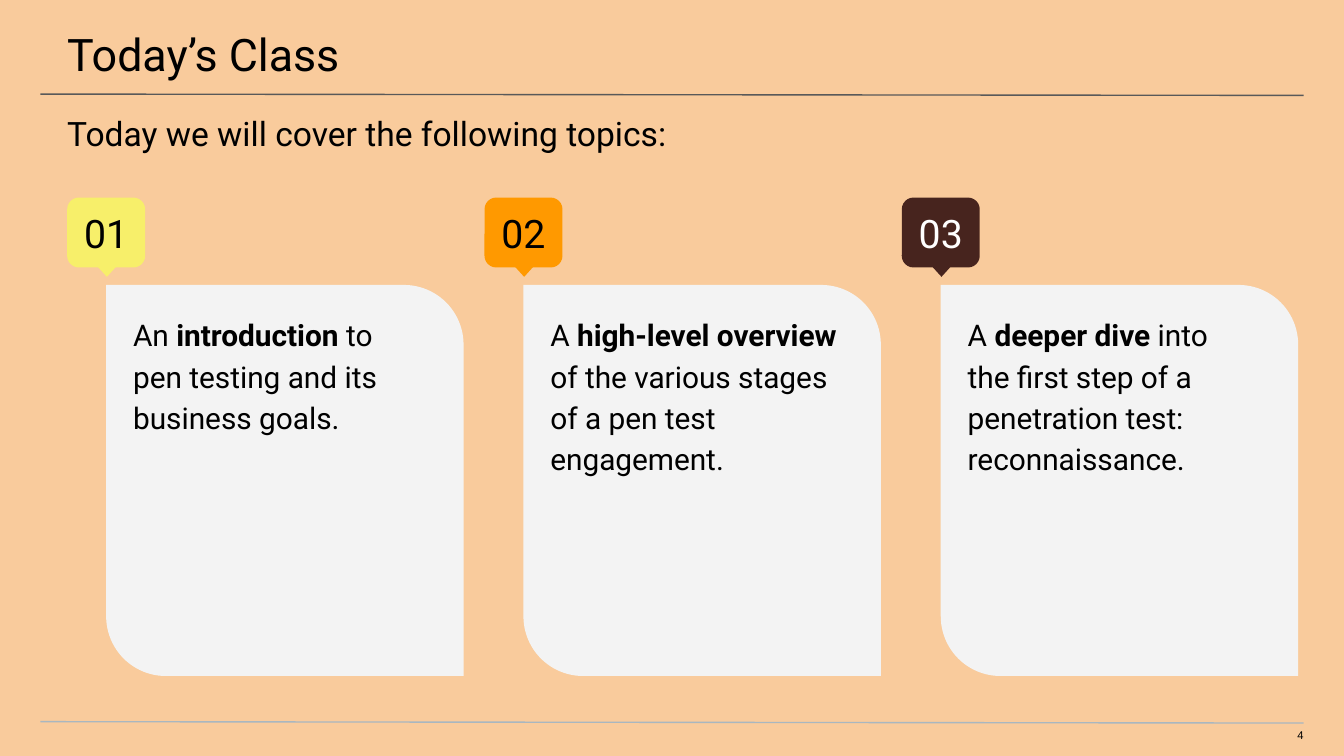
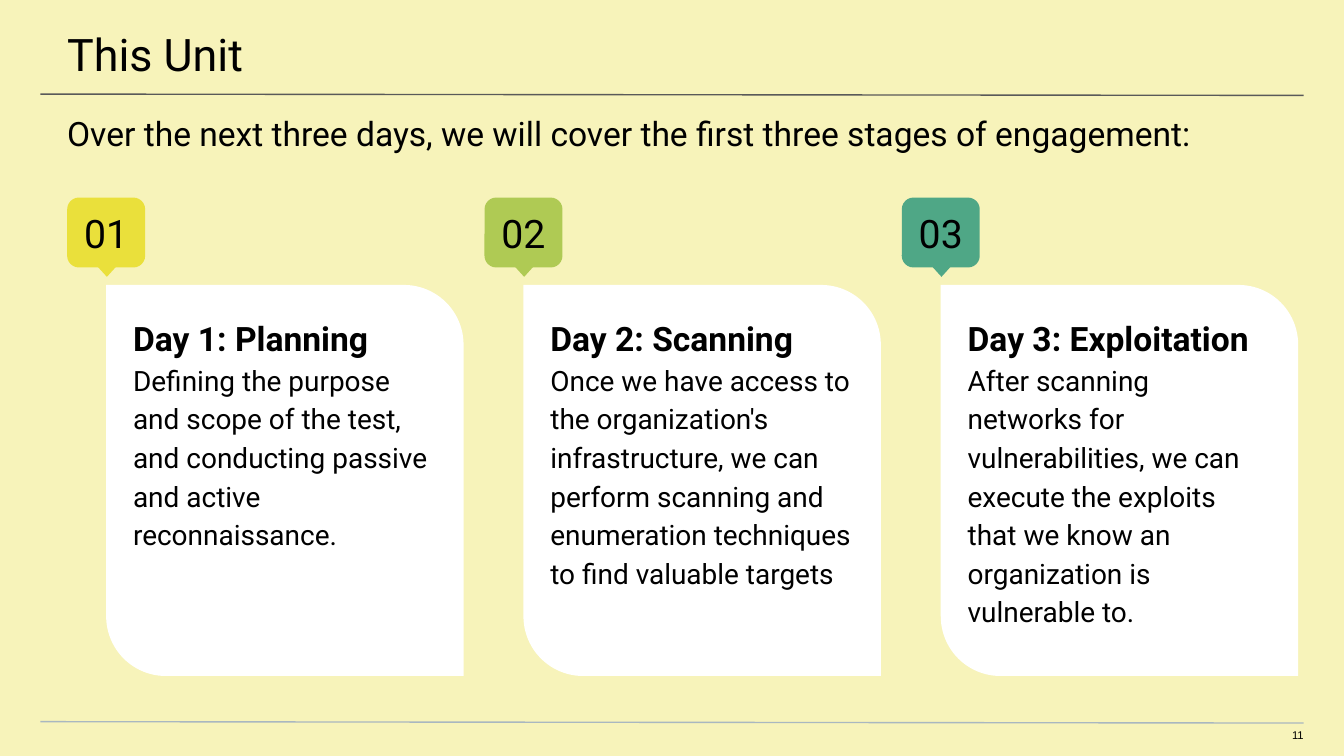
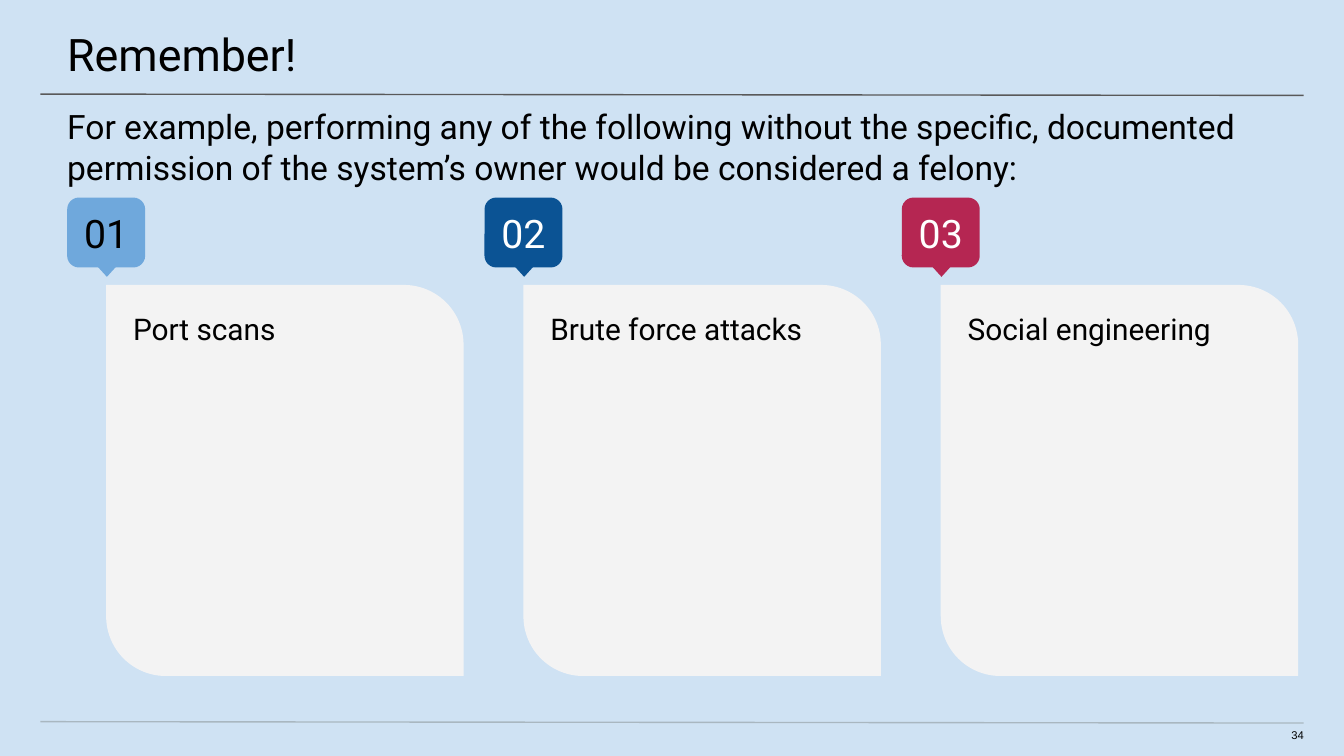
from collections import namedtuple

from lxml import etree
from pptx import Presentation
from pptx import util as u
from pptx.dml import color
from pptx.enum import shapes, text
from pptx.oxml import ns

COLUMNS, ROWS = 100, 56.25
UNIT = u.Inches(10) / COLUMNS

COLORS = {
    "ink": "000000",
    "white": "FFFFFF",
    "header_rule": "595959",
    "footer_rule": "A9B7C0",
    "grey_card": "F3F3F3",
    "peach": "F9CB9C",
    "cream": "F7F3BA",
    "pale_blue": "CFE2F3",
    "lemon": "F7EF6A",
    "orange": "FF9900",
    "brown": "47241E",
    "yellow": "EAE03B",
    "green": "AFCA54",
    "teal": "4FA786",
    "sky": "6FA8DC",
    "navy": "0B5394",
    "crimson": "B52652",
}

FONTS = {
    "title": {"name": "Roboto", "size": u.Pt(24)},
    "lead": {"name": "Roboto", "size": u.Pt(18)},
    "topic": {"name": "Roboto", "size": u.Pt(16)},
    "topic_bold": {"name": "Roboto", "size": u.Pt(16), "bold": True},
    "day": {"name": "Roboto", "size": u.Pt(18), "bold": True},
    "detail": {"name": "Roboto", "size": u.Pt(15)},
    "number": {"name": "Roboto", "size": u.Pt(21)},
    "page": {"name": "Arial", "size": u.Pt(6)},
}

TITLE_INSETS = (5, 2, 3, 1)
LEAD_INSETS = (5, 1, 5, 0)
CARD_INSETS = (2, 2, 2, 2)
BADGE_INSETS = (1, 1, 1, 1)
PAGE_INSETS = (0, 0, 0, 1)

CARD_PITCH = 31.05
CORNER = 0.167


class Box(namedtuple("Box", "left top width height")):
    def inner(self, left, top, width, height):
        return Box(self.left + left, self.top + top, width, height)

    def lengths(self):
        return [grid(value) for value in self]


PAGE = Box(0, 0, COLUMNS, ROWS)

SLIDES = [
    {
        "title": "Today’s Class",
        "lead": "Today we will cover the following topics:",
        "lead_top": 7.4,
        "page": "4",
        "background": "peach",
        "card": "grey_card",
        "badges": [("lemon", "ink"), ("orange", "ink"), ("brown", "white")],
        "topics": [
            [("An ", "topic"), ("introduction", "topic_bold"),
             (" to pen testing and its business goals.", "topic")],
            [("A ", "topic"), ("high-level overview", "topic_bold"),
             (" of the various stages of a pen test engagement.", "topic")],
            [("A ", "topic"), ("deeper dive", "topic_bold"),
             (" into \nthe first step of a penetration test: reconnaissance.", "topic")],
        ],
    },
    {
        "title": "This Unit",
        "lead": "Over the next three days, we will cover the first three stages of engagement:",
        "lead_top": 7.4,
        "page": "11",
        "background": "cream",
        "card": "white",
        "badges": [("yellow", "ink"), ("green", "ink"), ("teal", "ink")],
        "topics": [
            [("Day 1: Planning ", "day"),
             ("Defining the purpose and scope of the test, and conducting passive "
              "and active reconnaissance.", "detail")],
            [("Day 2: Scanning \n", "day"),
             ("Once we have access to the organization's infrastructure, we can perform "
              "scanning and enumeration techniques to find valuable targets", "detail")],
            [("Day 3: Exploitation", "day"), (" \n", "topic"),
             ("After scanning networks for vulnerabilities, we can execute the exploits "
              "that we know an organization is vulnerable to.", "detail")],
        ],
        "text_widths": (25.9, 27.1, 25.9),
    },
    {
        "title": "Remember!",
        "lead": "For example, performing any of the following without the specific, documented "
                "permission of the system’s owner would be considered a felony:",
        "lead_top": 6.9,
        "page": "34",
        "background": "pale_blue",
        "card": "grey_card",
        "badges": [("sky", "ink"), ("navy", "white"), ("crimson", "white")],
        "topics": [
            [("Port scans", "topic")],
            [("Brute force attacks", "topic")],
            [("Social engineering", "topic")],
        ],
        "text_height": 10.6,
    },
]


def grid(value):
    return u.Emu(round(value * UNIT))


def rgb(name):
    return color.RGBColor.from_string(COLORS[name])


def apply(target, formats):
    for name, value in formats.items():
        setattr(target, name, value)


def write(shape, runs, insets, ink="ink", anchor=text.MSO_ANCHOR.TOP, **paragraph_formats):
    sides = ("margin_left", "margin_top", "margin_right", "margin_bottom")
    frame = shape.text_frame
    apply(frame, dict(zip(sides, map(grid, insets)), word_wrap=True, vertical_anchor=anchor))
    paragraph = frame.paragraphs[0]
    apply(paragraph, {"alignment": text.PP_ALIGN.LEFT, **paragraph_formats})
    for content, style in runs:
        for index, line in enumerate(content.split("\n")):
            if index:
                paragraph.add_line_break()
            if line:
                run = paragraph.add_run()
                run.text = line
                apply(run.font, FONTS[style])
                run.font.color.rgb = rgb(ink)


def add_text(slide, box, runs, insets, **formats):
    write(slide.shapes.add_textbox(*box.lengths()), runs, insets, **formats)


def add_filled(parent, kind, box, fill):
    shape = parent.shapes.add_shape(kind, *box.lengths())
    shape.shadow.inherit = False
    shape.fill.solid()
    shape.fill.fore_color.rgb = rgb(fill)
    shape.line.fill.background()
    return shape


def add_rule(slide, box, ink):
    ends = (box.left, box.top, box.left + box.width, box.top + box.height)
    rule = slide.shapes.add_connector(shapes.MSO_CONNECTOR.STRAIGHT, *map(grid, ends))
    rule.line.width = u.Pt(0.75)
    rule.line.color.rgb = rgb(ink)
    etree.SubElement(rule._element.spPr, ns.qn("a:effectLst"))


def add_frame(slide, box, content):
    slide.background.fill.solid()
    slide.background.fill.fore_color.rgb = rgb(content["background"])
    for top, ink in ((7, "header_rule"), (53.7, "footer_rule")):
        add_rule(slide, box.inner(3, top, 94, 0.1), ink)
    add_text(slide, box.inner(0, 0, box.width, 5.8), [(content["title"], "title")], TITLE_INSETS)
    add_text(slide, box.inner(0, content["lead_top"], box.width, 4),
             [(content["lead"], "lead")], LEAD_INSETS)
    add_text(slide, box.inner(94.1, 54.2, 2.9, 1.2), [(content["page"], "page")],
             PAGE_INSETS, alignment=text.PP_ALIGN.RIGHT)


def add_badge(slide, box, number, fill, ink):
    badge = slide.shapes.add_group_shape()
    tile = add_filled(badge, shapes.MSO_SHAPE.ROUNDED_RECTANGLE, box, fill)
    tile.adjustments[0] = CORNER
    write(tile, [(f"{number:02}", "number")], BADGE_INSETS, ink,
          text.MSO_ANCHOR.MIDDLE, alignment=text.PP_ALIGN.CENTER)
    pointer = add_filled(badge, shapes.MSO_SHAPE.FLOWCHART_EXTRACT,
                         box.inner(1.5, 4.3, 2.9, 1.6), fill)
    pointer.rotation = 180


def add_card(slide, box, fill, topic, text_width, text_height):
    card = add_filled(slide, shapes.MSO_SHAPE.ROUND_2_DIAG_RECTANGLE, box, fill)
    card.adjustments[0] = 0
    card.adjustments[1] = CORNER
    add_text(slide, box.inner(0, 0, text_width, text_height), topic, CARD_INSETS,
             line_spacing=1.15)


def add_topics(slide, box, content):
    widths = content.get("text_widths", (25.9,) * 3)
    height = content.get("text_height", 29.1)
    columns = zip(content["topics"], content["badges"], widths)
    for index, (topic, (fill, ink), width) in enumerate(columns):
        left = index * CARD_PITCH
        add_card(slide, box.inner(left + 2.9, 6.5, 26.6, 29.1), content["card"],
                 topic, width, height)
        add_badge(slide, box.inner(left, 0, 5.8, 5.2), index + 1, fill, ink)


def main():
    presentation = Presentation()
    presentation.slide_width = grid(COLUMNS)
    presentation.slide_height = grid(ROWS)
    for content in SLIDES:
        slide = presentation.slides.add_slide(presentation.slide_layouts[6])
        add_frame(slide, PAGE, content)
        add_topics(slide, PAGE.inner(5, 14.7, 91.6, 35.6), content)
    presentation.save("out.pptx")


if __name__ == "__main__":
    main()
